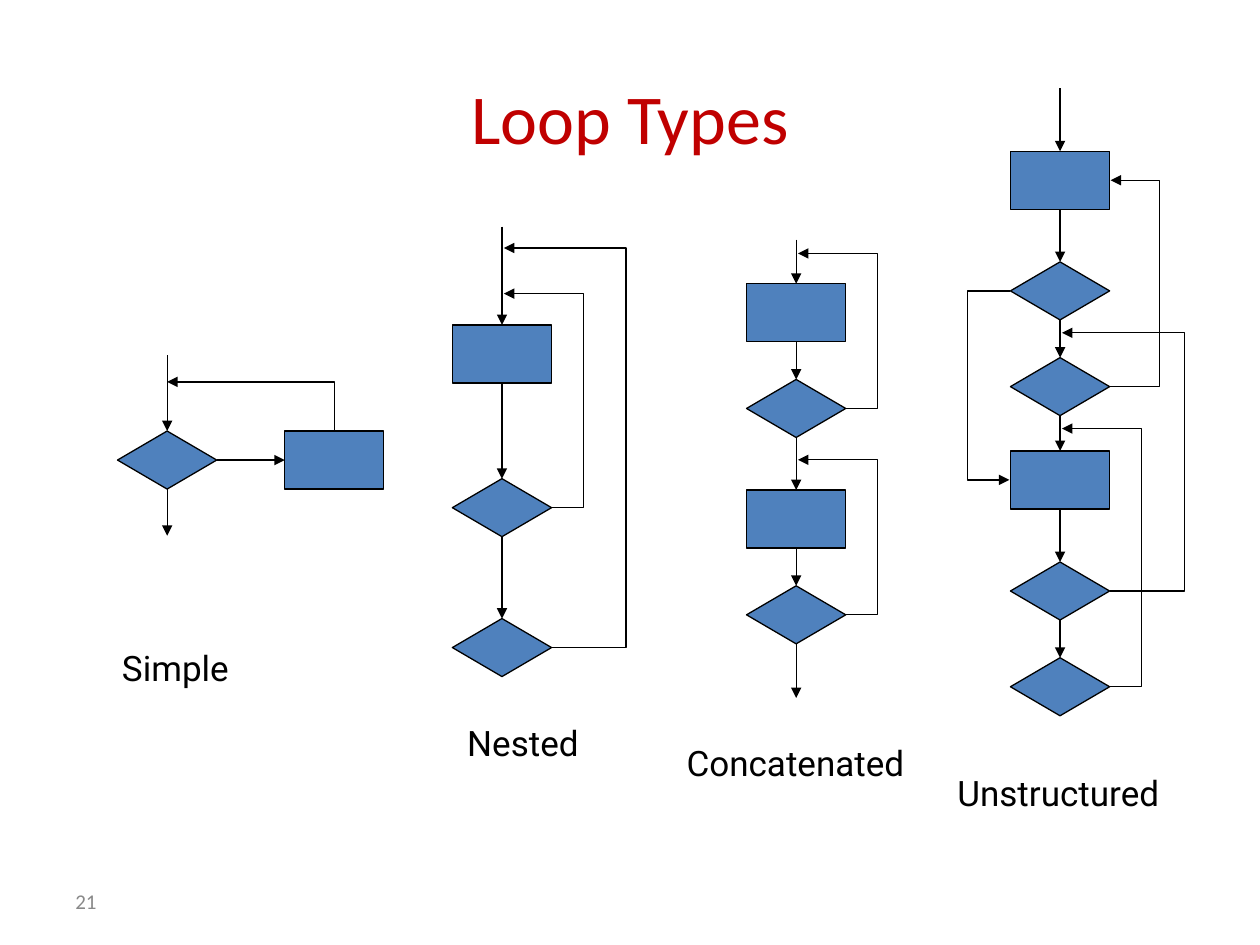
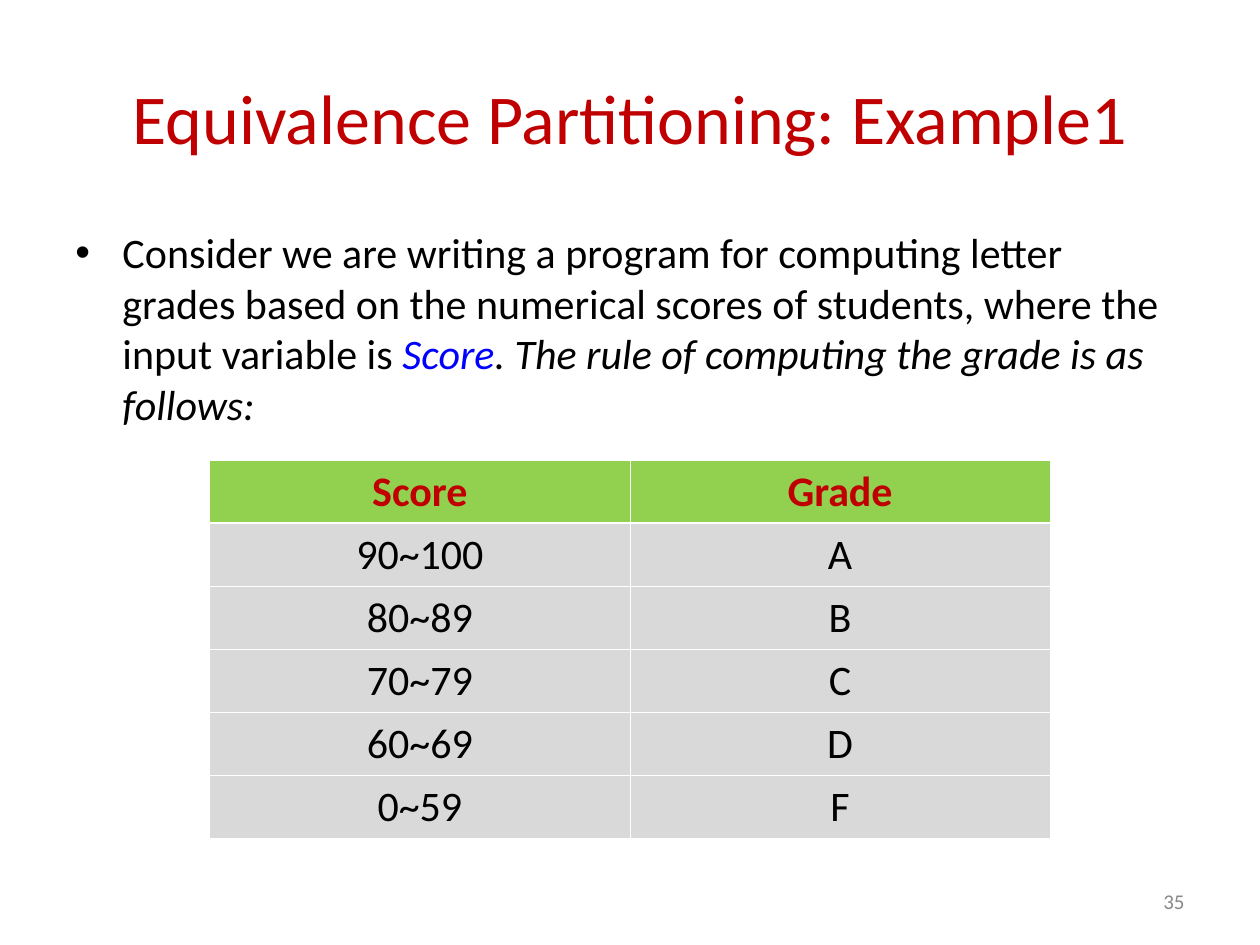
from dataclasses import dataclass

from lxml import etree
from pptx import Presentation
from pptx.dml.color import RGBColor
from pptx.enum.shapes import MSO_CONNECTOR, MSO_SHAPE
from pptx.enum.text import MSO_ANCHOR, PP_ALIGN
from pptx.oxml.ns import qn
from pptx.util import Cm, Pt

RECT, DECISION = MSO_SHAPE.RECTANGLE, MSO_SHAPE.FLOWCHART_DECISION
STRAIGHT, ELBOW = MSO_CONNECTOR.STRAIGHT, MSO_CONNECTOR.ELBOW
LEFT, CENTER, RIGHT = PP_ALIGN.LEFT, PP_ALIGN.CENTER, PP_ALIGN.RIGHT
TOP, MIDDLE = MSO_ANCHOR.TOP, MSO_ANCHOR.MIDDLE
SIDE_TOP, SIDE_LEFT, SIDE_BOTTOM, SIDE_RIGHT = range(4)

COLORS = {
    "title": "C00000", "text": "000000", "number": "898989", "variable": "0000FF",
    "node": "4F81BD", "line": "000000",
    "header": "92D050", "row": "D9D9D9", "border": "FFFFFF",
}
TITLE = {"name": "Calibri", "size": Pt(40)}
BODY = {"name": "Calibri", "size": Pt(24)}
NUMBER = {"name": "Calibri", "size": Pt(12)}
LABEL = {"name": "Roboto", "size": Pt(20)}

NODE_W, NODE_H = 2.0, 1.17
LINE_WIDTH = Pt(0.75)


@dataclass
class Loop:
    """A way back from a node; x values count from the flow's centre."""
    node: int
    rail: float
    end_y: float
    end: float = 0.04


@dataclass
class Flow:
    name: str
    label: tuple          # left, top, width
    cx: float
    entry: float
    nodes: list           # (shape, top)
    loops: list
    exit: float = 0


def middle(top: float) -> float:
    return top + NODE_H / 2


EDGE = NODE_W / 2
BESIDE = EDGE + 0.02

FLOWS = [
    Flow("Simple", (2.21, 12.9, 2.74), 3.37, 7.16, [(DECISION, 8.69)], [], 10.8),
    Flow("Nested", (9.17, 14.43, 2.87), 10.12, 4.57,
         [(RECT, 6.55), (DECISION, 9.65), (DECISION, 12.47)],
         [Loop(2, 2.5, 5.0), Loop(1, 1.64, 5.92)]),
    Flow("Concatenated", (13.59, 14.83, 5.31), 16.05, 4.83,
         [(RECT, 5.72), (DECISION, 7.65), (RECT, 9.88), (DECISION, 11.81)],
         [Loop(1, 1.64, 5.11), Loop(3, 1.64, 9.27)], 14.07),
    Flow("Unstructured", (19.05, 15.42, 4.93), 21.37, 1.78,
         [(RECT, 3.05), (DECISION, 5.28), (DECISION, 7.21),
          (RECT, 9.09), (DECISION, 11.33), (DECISION, 13.26)],
         [Loop(1, -1.86, middle(9.09), -BESIDE), Loop(2, 2.0, middle(3.05), BESIDE),
          Loop(4, 2.51, 6.71), Loop(5, 1.64, 8.64)]),
]

GRADES = [("Score", "Grade"), ("90~100", "A"), ("80~89", "B"),
          ("70~79", "C"), ("60~69", "D"), ("0~59", "F")]


def rgb(key: str) -> RGBColor:
    return RGBColor.from_string(COLORS[key])


# Text
def add_run(p, text: str, fmt: dict, color: str) -> None:
    r = p.add_run()
    r.text = text
    for name, value in fmt.items():
        setattr(r.font, name, value)
    r.font.color.rgb = rgb(color)


def add_box(s, box: tuple, anchor=TOP, align=LEFT, wrap: bool = True):
    tf = s.shapes.add_textbox(*map(Cm, box)).text_frame
    tf.word_wrap = wrap
    tf.vertical_anchor = anchor
    p = tf.paragraphs[0]
    p.alignment = align
    return p


def add_slide(prs, title: str, number: str, number_left: float, number_align):
    s = prs.slides.add_slide(prs.slide_layouts[6])
    add_run(add_box(s, (1.27, 0.76, 22.86, 3.18), MIDDLE, CENTER), title, TITLE, "title")
    add_run(add_box(s, (number_left, 17.65, 5.92, 1.02), MIDDLE, number_align),
            number, NUMBER, "number")
    return s


# Flow chart parts
def add_node(s, kind, cx: float, top: float):
    sp = s.shapes.add_shape(kind, Cm(cx - EDGE), Cm(top), Cm(NODE_W), Cm(NODE_H))
    sp.shadow.inherit = False
    sp.fill.solid()
    sp.fill.fore_color.rgb = rgb("node")
    sp.line.color.rgb = rgb("line")
    sp.line.width = LINE_WIDTH
    return sp


def add_arrow(s, kind, x0: float, y0: float, x1: float, y1: float, end: str = "tailEnd"):
    cxn = s.shapes.add_connector(kind, Cm(x0), Cm(y0), Cm(x1), Cm(y1))
    cxn.line.color.rgb = rgb("line")
    cxn.line.width = LINE_WIDTH
    spPr = cxn.element.spPr
    etree.SubElement(spPr.find(qn("a:ln")), qn(f"a:{end}"), type="triangle")
    etree.SubElement(spPr, qn("a:effectLst"))
    return cxn


def join(s, a, a_side: int, b, b_side: int) -> None:
    cxn = add_arrow(s, STRAIGHT, 0, 0, 1, 1)
    cxn.begin_connect(a, a_side)
    cxn.end_connect(b, b_side)


def add_loop(s, flow: Flow, loop: Loop) -> None:
    start = EDGE if loop.rail > 0 else -EDGE
    cxn = add_arrow(s, ELBOW, flow.cx + start, middle(flow.nodes[loop.node][1]),
                    flow.cx + loop.end, loop.end_y)
    bend = round((loop.rail - start) / (loop.end - start) * 100000)
    guides = cxn.element.spPr.find(qn("a:prstGeom")).find(qn("a:avLst"))
    etree.SubElement(guides, qn("a:gd"), name="adj1", fmla=f"val {bend}")


def add_flow(s, flow: Flow) -> list:
    nodes = [add_node(s, kind, flow.cx, top) for kind, top in flow.nodes]
    first_top, last_top = flow.nodes[0][1], flow.nodes[-1][1]
    add_arrow(s, STRAIGHT, flow.cx, flow.entry, flow.cx, first_top).end_connect(
        nodes[0], SIDE_TOP)
    for upper, lower in zip(nodes, nodes[1:]):
        join(s, upper, SIDE_BOTTOM, lower, SIDE_TOP)
    if flow.exit:
        add_arrow(s, STRAIGHT, flow.cx, last_top + NODE_H, flow.cx, flow.exit).begin_connect(
            nodes[-1], SIDE_BOTTOM)
    for loop in flow.loops:
        add_loop(s, flow, loop)
    add_run(add_box(s, (*flow.label, 1.12), wrap=False), flow.name, LABEL, "text")
    return nodes


def add_simple_body(s, flow: Flow, decision) -> None:
    """The loop body beside the decision, and its way back to the entry line."""
    cx, top = 6.74, flow.nodes[0][1]
    body = add_node(s, RECT, cx, top)
    join(s, decision, SIDE_RIGHT, body, SIDE_LEFT)
    back = add_arrow(s, ELBOW, flow.cx, 7.7, cx, top, "headEnd")
    back.element.spPr.find(qn("a:prstGeom")).set("prst", "bentConnector2")


# Table
def set_border(cell, side: str, width: float) -> None:
    ln = etree.SubElement(cell._tc.get_or_add_tcPr(), qn(f"a:ln{side}"), w=str(Pt(width)))
    fill = etree.SubElement(ln, qn("a:solidFill"))
    etree.SubElement(fill, qn("a:srgbClr"), val=COLORS["border"])


def add_grades(s) -> None:
    rows, cols = len(GRADES), len(GRADES[0])
    table = s.shapes.add_table(rows, cols, Cm(4.23), Cm(9.27),
                               Cm(16.94), Cm(1.27 * rows)).table
    for i, values in enumerate(GRADES):
        for j, value in enumerate(values):
            cell = table.cell(i, j)
            heavy = {0: "B", 1: "T"}.get(i)
            for side in "LRTB":
                set_border(cell, side, 1.47 if side == heavy else 0.45)
            cell.fill.solid()
            cell.fill.fore_color.rgb = rgb("row" if i else "header")
            p = cell.text_frame.paragraphs[0]
            p.alignment = CENTER
            add_run(p, value, {**BODY, "bold": i == 0}, "text" if i else "title")


# Slides
def loop_types(prs) -> None:
    s = add_slide(prs, "Loop Types", "21", 1.27, LEFT)
    drawn = [add_flow(s, flow) for flow in FLOWS]
    add_simple_body(s, FLOWS[0], drawn[0][0])


def equivalence_partitioning(prs) -> None:
    s = add_slide(prs, "Equivalence Partitioning: Example1", "35", 18.21, RIGHT)
    p = add_box(s, (1.27, 4.45, 22.86, 4.6))
    pPr = p._p.get_or_add_pPr()
    pPr.set("marL", str(Cm(0.95)))
    pPr.set("indent", str(Cm(-0.95)))
    etree.SubElement(pPr, qn("a:buFont"), typeface="Arial")
    etree.SubElement(pPr, qn("a:buChar"), char="•")
    italic = {**BODY, "italic": True}
    add_run(p, "Consider we are writing a program for computing letter grades based on "
               "the numerical scores of students, where the input variable is ", BODY, "text")
    add_run(p, "Score", italic, "variable")
    add_run(p, ". The rule of computing the grade is as follows:", italic, "text")
    add_grades(s)


def main() -> None:
    prs = Presentation()
    prs.slide_width, prs.slide_height = Cm(25.4), Cm(19.05)
    loop_types(prs)
    equivalence_partitioning(prs)
    prs.save("out.pptx")


if __name__ == "__main__":
    main()
